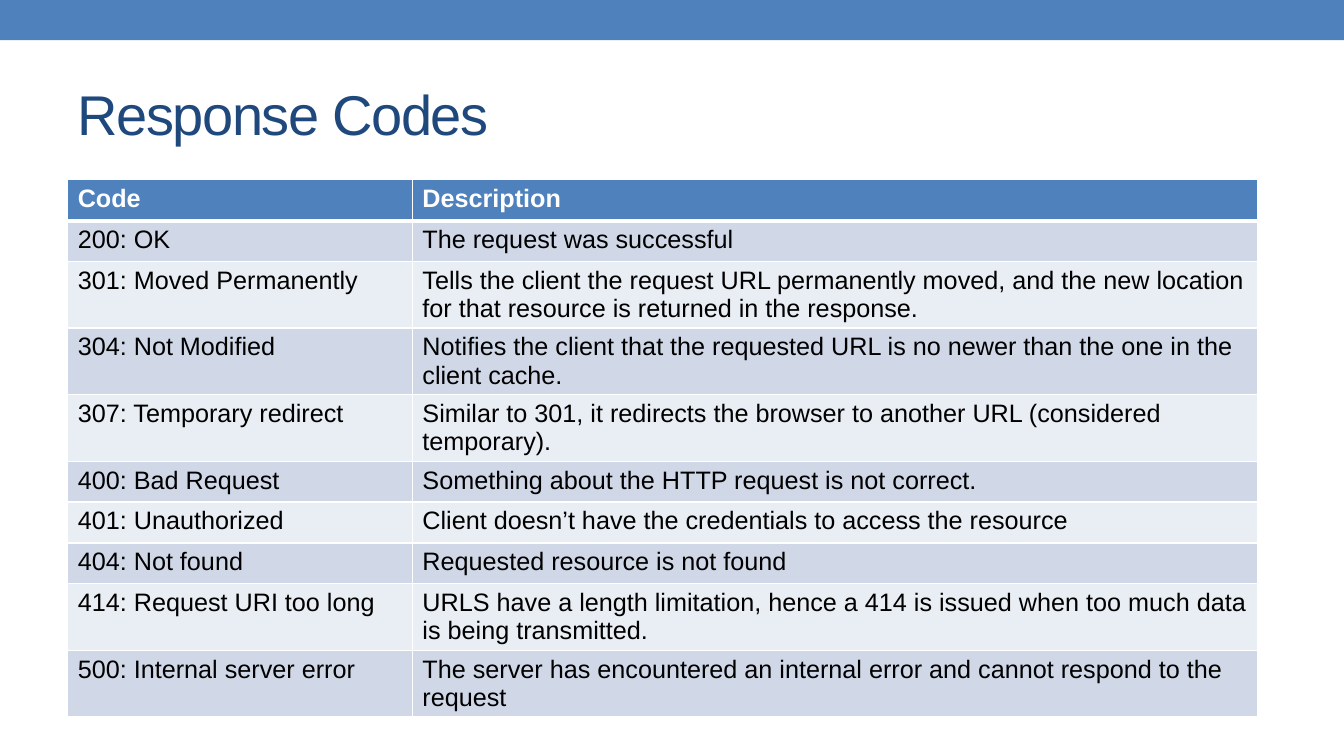
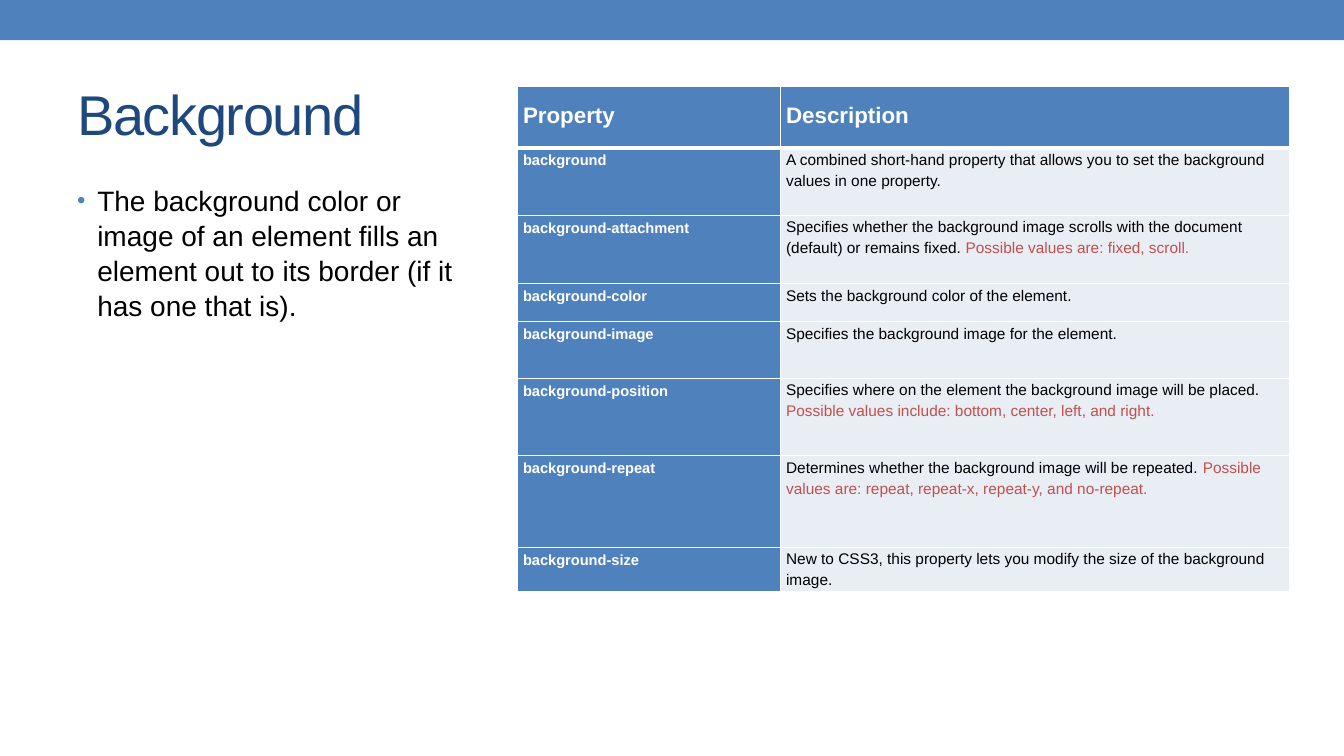
import pptx
import pptx.dml.color
import pptx.enum.shapes
import pptx.enum.text
import pptx.oxml
import pptx.oxml.ns
import pptx.util

Pt = pptx.util.Pt
FONT = "Arial"
BLUE, NAVY, RED = "4F81BD", "1F497D", "C0504D"
WHITE, BLACK = "FFFFFF", "000000"
DARK_BAND, LIGHT_BAND = "D0D8E8", "E9EDF4"
SLIDE_WIDTH, SLIDE_HEIGHT = 960, 540
TITLE_BOX = (48, 42, 864, 77.6)
ONE_LINE, TWO_LINES = 29.2, 47.4

RESPONSE_CODES = [
    (ONE_LINE, "Code", "Description"),
    (ONE_LINE, "200: OK", "The request was successful"),
    (TWO_LINES, "301: Moved Permanently",
     "Tells the client the request URL permanently moved, and the new location "
     "for that resource is returned in the response."),
    (TWO_LINES, "304: Not Modified",
     "Notifies the client that the requested URL is no newer than the one in the client cache."),
    (TWO_LINES, "307: Temporary redirect",
     "Similar to 301, it redirects the browser to another URL (considered temporary)."),
    (ONE_LINE, "400: Bad Request", "Something about the HTTP request is not correct."),
    (ONE_LINE, "401: Unauthorized", "Client doesn’t have the credentials to access the resource"),
    (ONE_LINE, "404: Not found", "Requested resource is not found"),
    (TWO_LINES, "414: Request URI too long",
     "URLS have a length limitation, hence a 414 is issued when too much data is being transmitted."),
    (TWO_LINES, "500: Internal server error",
     "The server has encountered an internal error and cannot respond to the request"),
]

BACKGROUND_PROPERTIES = [
    (43.8, "Property", "Description"),
    (48, "background",
     "A combined short-hand property that allows you to set the background values in one property."),
    (49, "background-attachment",
     "Specifies whether the background image scrolls with the document (default) or remains fixed. ",
     "Possible values are: fixed, scroll."),
    (27.2, "background-color", "Sets the background color of the element."),
    (40.2, "background-image", "Specifies the background image for the element."),
    (55.5, "background-position",
     "Specifies where on the element the background image will be placed. ",
     "Possible values include: bottom, center, left, and right."),
    (65.3, "background-repeat",
     "Determines whether the background image will be repeated. ",
     "Possible values are: repeat, repeat-x, repeat-y, and no-repeat."),
    (31.5, "background-size",
     "New to CSS3, this property lets you modify the size of the background image."),
]


def rgb(value):
    return pptx.dml.color.RGBColor.from_string(value)


def points(*lengths):
    return [Pt(length) for length in lengths]


def xml(tag, inner="", **attributes):
    listed = "".join(f' {key}="{value}"' for key, value in attributes.items())
    return pptx.oxml.parse_xml(
        f'<a:{tag} {pptx.oxml.ns.nsdecls("a")}{listed}>{inner}</a:{tag}>')


def style(paragraph, size, color, bold=False):
    font = paragraph.font
    font.name, font.size, font.bold = FONT, Pt(size), bold
    font.color.rgb = rgb(color)


def add_band(slide):
    band = slide.shapes.add_shape(
        pptx.enum.shapes.MSO_SHAPE.RECTANGLE, *points(0, 0, SLIDE_WIDTH, 28.8))
    band.shadow.inherit = False
    band.fill.solid()
    band.fill.fore_color.rgb = rgb(BLUE)
    band.line.fill.background()


def add_titled_slide(presentation, heading):
    slide = presentation.slides.add_slide(presentation.slide_layouts[5])
    add_band(slide)
    title = slide.shapes.title
    title.left, title.top, title.width, title.height = points(*TITLE_BOX)
    frame = title.text_frame
    frame.text = heading
    frame.vertical_anchor = pptx.enum.text.MSO_ANCHOR.MIDDLE
    paragraph = frame.paragraphs[0]
    paragraph.alignment = pptx.enum.text.PP_ALIGN.LEFT
    paragraph.runs[0]._r.get_or_add_rPr().set("spc", "-100")
    style(paragraph, 40, NAVY)
    return slide


def format_cell(cell, fill, top=1, bottom=1):
    properties = cell._tc.get_or_add_tcPr()
    line_fill = f'<a:solidFill><a:srgbClr val="{WHITE}"/></a:solidFill>'
    for side, width in (("lnL", 1), ("lnR", 1), ("lnT", top), ("lnB", bottom)):
        properties.append(xml(side, line_fill, w=int(Pt(width))))
    cell.fill.solid()
    cell.fill.fore_color.rgb = rgb(fill)


def add_grid(slide, left, top, column_widths, rows):
    heights = [row[0] for row in rows]
    table = slide.shapes.add_table(
        len(rows), len(column_widths),
        *points(left, top, sum(column_widths), sum(heights))).table
    table.horz_banding = False
    for column, width in zip(table.columns, column_widths):
        column.width = Pt(width)
    for row, height in zip(table.rows, heights):
        row.height = Pt(height)
    return table


def add_response_table(slide, left, top, column_widths):
    table = add_grid(slide, left, top, column_widths, RESPONSE_CODES)
    for row, (_, *texts) in enumerate(RESPONSE_CODES):
        header = row == 0
        fill = BLUE if header else DARK_BAND if row % 2 else LIGHT_BAND
        for column, text in enumerate(texts):
            cell = table.cell(row, column)
            format_cell(cell, fill, 3 if row == 1 else 1, 3 if header else 1)
            cell.text = text
            style(cell.text_frame.paragraphs[0], 18, WHITE if header else BLACK, header)


def add_property_table(slide, left, top, column_widths):
    table = add_grid(slide, left, top, column_widths, BACKGROUND_PROPERTIES)
    table.first_col = True
    for row, (_, name, description, *values) in enumerate(BACKGROUND_PROPERTIES):
        header = row == 0
        for column, text in enumerate((name, description)):
            cell = table.cell(row, column)
            label = header or column == 0
            format_cell(cell, BLUE if label else LIGHT_BAND,
                        3 if row == 1 else 1, 3 if header else 1)
            cell.margin_left = cell.margin_right = Pt(4)
            cell.margin_top = cell.margin_bottom = Pt(14.4 if header else 0)
            cell.text = text
            paragraph = cell.text_frame.paragraphs[0]
            paragraph.line_spacing = Pt(15)
            size = 16 if header else 10.5 if label else 11
            style(paragraph, size, WHITE if label else BLACK, label)
        for possible_values in values:
            run = paragraph.add_run()
            run.text = possible_values
            run.font.color.rgb = rgb(RED)


def add_bullet_text(slide, left, top, width, height, text):
    frame = slide.shapes.add_textbox(*points(left, top, width, height)).text_frame
    frame.word_wrap = True
    frame.text = text
    paragraph = frame.paragraphs[0]
    paragraph.line_spacing = 1.05
    properties = paragraph._p.get_or_add_pPr()
    properties.set("marL", str(int(Pt(14.4))))
    properties.set("indent", str(-int(Pt(14.4))))
    properties.append(xml("buClr", f'<a:srgbClr val="{BLUE}"/>'))
    properties.append(xml("buSzPct", val=85000))
    properties.append(xml("buFont", typeface=FONT))
    properties.append(xml("buChar", char="•"))
    style(paragraph, 20, BLACK)


def main():
    presentation = pptx.Presentation()
    presentation.slide_width, presentation.slide_height = points(SLIDE_WIDTH, SLIDE_HEIGHT)

    response_slide = add_titled_slide(presentation, "Response Codes")
    add_response_table(response_slide, 48.4, 128.4, (246.2, 603.8))

    background_slide = add_titled_slide(presentation, "Background")
    add_bullet_text(
        background_slide, 48, 126, 284.4, 384,
        "The background color or image of an element fills an element out to its "
        "border (if it has one that is).")
    add_property_table(background_slide, 369.6, 61.9, (187.9, 363.6))

    presentation.save("out.pptx")


if __name__ == "__main__":
    main()
